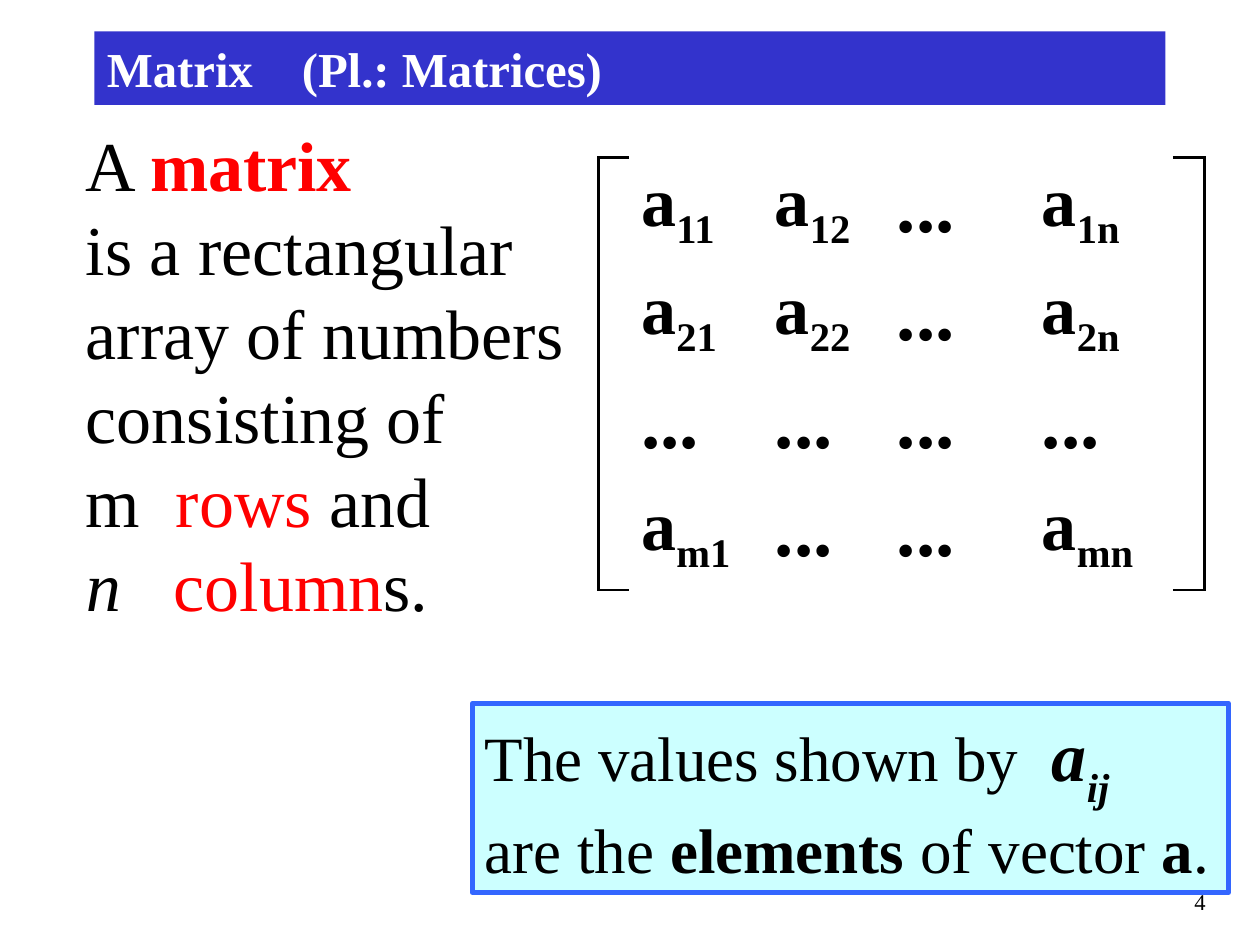
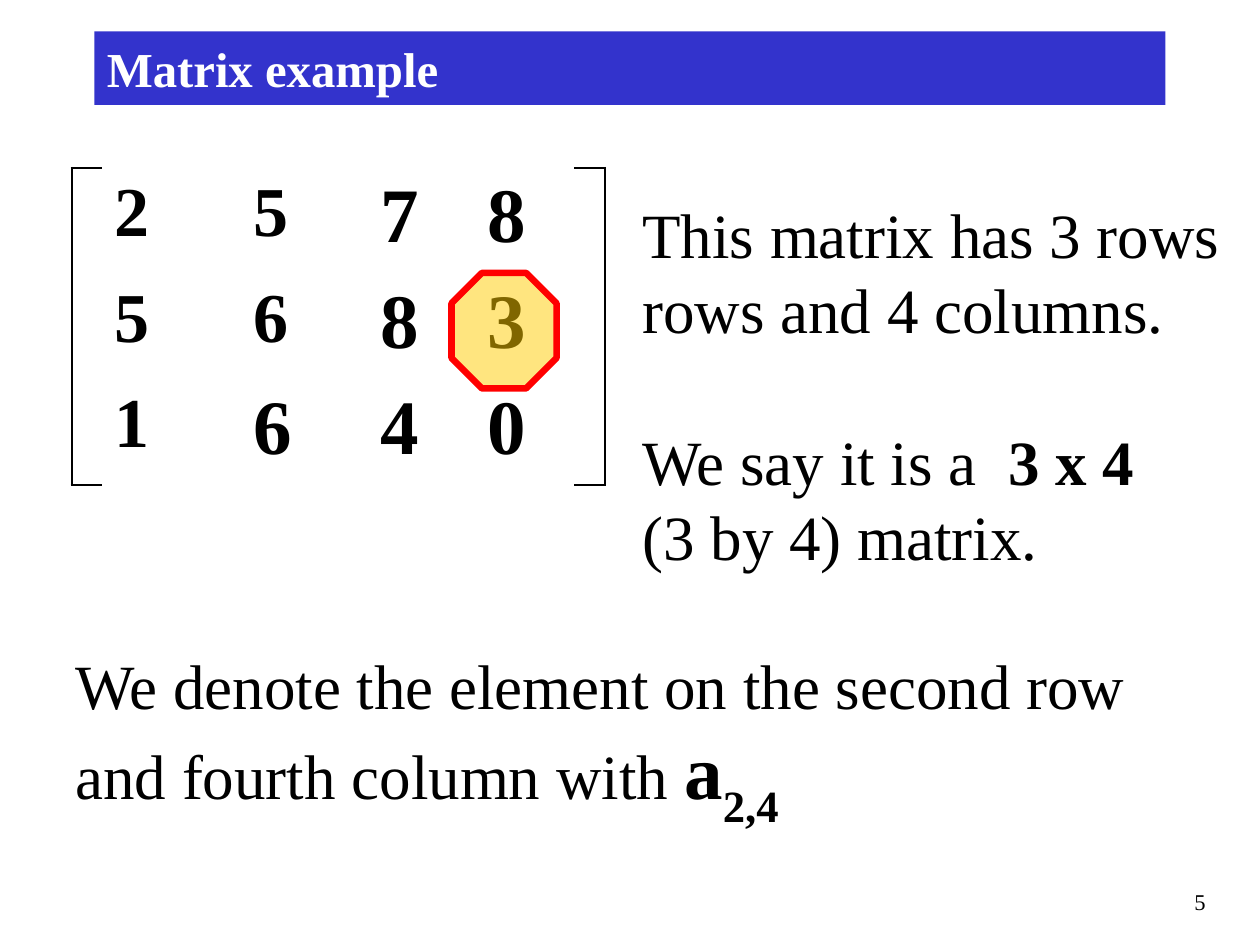
import dataclasses

import lxml.etree
import pptx
import pptx.dml.color
import pptx.enum.shapes
import pptx.enum.text
import pptx.oxml.ns
import pptx.util

Pt = pptx.util.Pt
Form = pptx.enum.shapes.MSO_SHAPE
Hold = pptx.enum.text.MSO_ANCHOR
Side = pptx.enum.text.PP_ALIGN
qn = pptx.oxml.ns.qn


@dataclasses.dataclass(frozen=True)
class Theme:
    font: str = "Times New Roman"
    ink: str = "000000"
    white: str = "FFFFFF"
    band: str = "3333CC"
    red: str = "FF0000"
    pale: str = "CCFFFF"
    edge: str = "3366FF"
    gold: str = "FFCC00"
    title: float = 27.9
    body: float = 36
    large: float = 40
    huge: float = 44
    foot: float = 12.9
    pitch: float = 1.2
    rule: float = 1.47


LOOK = Theme()


def color(code):
    return pptx.dml.color.RGBColor.from_string(code)


# Text
def write(para, text, size=LOOK.body, ink=LOOK.ink, bold=False,
          slant=False, base=0):
    """Add one run; base shifts it in percent of its size."""
    run = para.add_run()
    run.text = text
    font = run.font
    font.name, font.size = LOOK.font, Pt(size)
    font.bold, font.italic = bold, slant
    font.color.rgb = color(ink)
    if base:
        font._element.set("baseline", str(base * 1000))


def start(frame, pitch=None, gap=0, tab=None, align=None):
    """Open a paragraph with its line pitch, space before and tab stop."""
    para = frame.paragraphs[0]
    if para.runs:
        para = frame.add_paragraph()
    if pitch:
        para.line_spacing = Pt(pitch)
    if gap:
        para.space_before = Pt(gap)
    if align:
        para.alignment = align
    if tab:
        stops = lxml.etree.SubElement(para._p.get_or_add_pPr(), qn("a:tabLst"))
        lxml.etree.SubElement(stops, qn("a:tab"), pos=str(Pt(tab)), algn="l")
    return para


def area(slide, box):
    frame = slide.shapes.add_textbox(*map(Pt, box)).text_frame
    frame.word_wrap = True
    return frame


def block(slide, form, box, fill, edge=None, width=1):
    shape = slide.shapes.add_shape(form, *map(Pt, box))
    shape.shadow.inherit = False
    shape.fill.solid()
    shape.fill.fore_color.rgb = color(fill)
    if edge:
        shape.line.color.rgb = color(edge)
        shape.line.width = Pt(width)
    else:
        shape.line.fill.background()
    return shape


# Shared title band and page number
def base(deck, title, page, tab=None):
    slide = deck.slides.add_slide(deck.slide_layouts[6])
    foot = start(area(slide, (546, 504, 150, 24)), align=Side.RIGHT)
    write(foot, str(page), size=LOOK.foot)
    frame = block(slide, Form.RECTANGLE, (54, 18, 612, 42), LOOK.band).text_frame
    frame.vertical_anchor = Hold.MIDDLE
    write(start(frame, tab=tab, align=Side.LEFT), title,
          size=LOOK.title, ink=LOOK.white, bold=True)
    return slide


# Matrix with square brackets
def border(cell, shown):
    props = cell._tc.get_or_add_tcPr()
    for place, name in enumerate("LRTB"):
        line = lxml.etree.Element(qn("a:ln" + name), w=str(Pt(LOOK.rule)))
        if name in shown:
            fill = lxml.etree.SubElement(line, qn("a:solidFill"))
            lxml.etree.SubElement(fill, qn("a:srgbClr"), val=LOOK.ink)
        else:
            lxml.etree.SubElement(line, qn("a:noFill"))
        props.insert(place, line)


def matrix(slide, box, widths, height, grid, inset):
    """Grid holds (text, size, subscript) by column; inset pads a column."""
    rows, cols = len(grid), len(widths)
    table = slide.shapes.add_table(rows, cols, *map(Pt, box)).table
    table.first_row = table.horz_banding = False
    for col, width in zip(table.columns, widths):
        col.width = Pt(width)
    for r, items in enumerate(grid):
        table.rows[r].height = Pt(height)
        for c in range(cols):
            cell = table.cell(r, c)
            cell.fill.background()
            shown = {0: "L", cols - 1: "R"}.get(c, "")
            if shown:
                shown += "T" * (r == 0) + "B" * (r == rows - 1)
            border(cell, shown)
            cell.margin_left = Pt(7.2 + inset.get(c, 0))
            if c in items:
                text, size, sub = items[c]
                para = start(cell.text_frame)
                write(para, text, size=size, bold=True)
                if sub:
                    write(para, sub, size=size, bold=True, base=-25)


# Slide: definition of a matrix
def define(slide, box):
    frame = area(slide, box)
    pitch = LOOK.large * LOOK.pitch

    def add(*parts, tab=None):
        para = start(frame, pitch=pitch, tab=tab)
        for text, style in parts:
            write(para, text, size=LOOK.large, **style)

    red = {"ink": LOOK.red}
    add(("A ", {}), ("matrix", {"bold": True, **red}))
    add(("is a rectangular array of numbers consisting of", {}))
    add(("m\t", {}), ("rows", red), (" and", {}), tab=51.4)
    add(("n\t", {"slant": True}), ("column", red), ("s.", {}), tab=50.2)


def callout(slide, box):
    frame = block(slide, Form.RECTANGLE, box, LOOK.pale, LOOK.edge, 3).text_frame
    frame.vertical_anchor = Hold.TOP
    para = start(frame, pitch=57.6, tab=324, align=Side.LEFT)
    write(para, "The values shown by\t")
    for text, drop in (("a", 0), ("ij", -30)):
        write(para, text, size=LOOK.large, bold=True, slant=True, base=drop)
    para = start(frame, pitch=LOOK.body * LOOK.pitch, align=Side.LEFT)
    for text, bold in (("are the ", False), ("elements", True),
                       (" of vector ", False), ("a", True), (".", False)):
        write(para, text, bold=bold)


def general(deck):
    slide = base(deck, "Matrix\t(Pl.: Matrices)", 4, tab=111.4)
    define(slide, (42, 66, 324, 295))
    # Dots stand where no index is given
    marks = [("11", "12", "", "1n"), ("21", "22", "", "2n"),
             ("", "", "", ""), ("m1", "", "", "mn")]
    grid = [{c: ("a", LOOK.large, sub) if sub else ("...", LOOK.huge, "")
             for c, sub in zip((1, 2, 3, 6), row)} for row in marks]
    matrix(slide, (342, 90, 346, 246),
           (17.3, 76.3, 69.8, 48.2, 17.3, 17.3, 82.1, 18), 61.5, grid, {})
    callout(slide, (270, 402, 432, 108))


# Slide: example
def remark(slide, box):
    frame = area(slide, box)
    pitch = LOOK.body * LOOK.pitch
    write(start(frame, pitch=pitch), "This matrix has 3 rows rows and 4 columns.")
    para = start(frame, pitch=pitch, gap=pitch, tab=209)
    write(para, "We say it is a\t")
    write(para, "3 x 4", bold=True)
    write(start(frame, pitch=pitch), "(3 by 4) matrix.")


def notion(slide, box):
    frame = area(slide, box)
    write(start(frame, pitch=LOOK.body * LOOK.pitch),
          "We denote the element on the second row")
    para = start(frame, pitch=62.6)
    write(para, "and fourth column with ")
    write(para, "a", size=LOOK.huge, bold=True)
    write(para, "2,4", size=LOOK.huge, bold=True, base=-30)


def sample(deck):
    slide = base(deck, "Matrix example", 5)
    remark(slide, (360, 108, 348, 223))
    # The first number of each row set is smaller than the rest
    small = (2, 2, 1)
    grid = [{c: (text, LOOK.large if c <= few else LOOK.huge, "")
             for c, text in enumerate(row, 1)}
            for row, few in zip(("2578", "5683", "1640"), small)]
    matrix(slide, (41, 96, 304, 181),
           (17.3, 79.2, 72.7, 50.4, 50.4, 17.3, 17.3), 60.4, grid, {4: 11})
    notion(slide, (36, 366, 648, 113))
    # Marker over row 2, column 4
    mark = block(slide, Form.OCTAGON, (258, 156, 60, 66),
                 LOOK.gold, LOOK.red, 3.75)
    mark.adjustments[0] = 0.29
    tint = mark._element.spPr.find(qn("a:solidFill"))[0]
    lxml.etree.SubElement(tint, qn("a:alpha"), val="50000")


def main():
    deck = pptx.Presentation()
    deck.slide_width, deck.slide_height = Pt(720), Pt(540)
    general(deck)
    sample(deck)
    deck.save("out.pptx")


if __name__ == "__main__":
    main()
